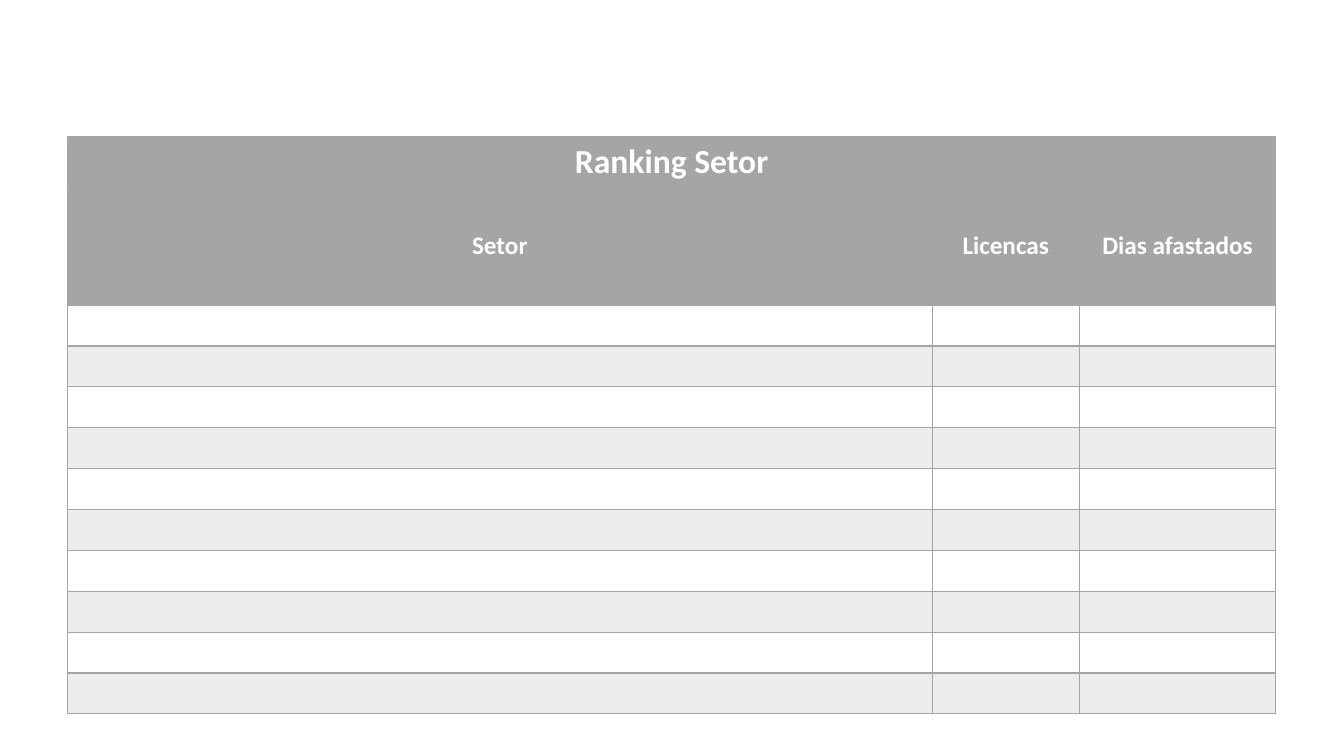
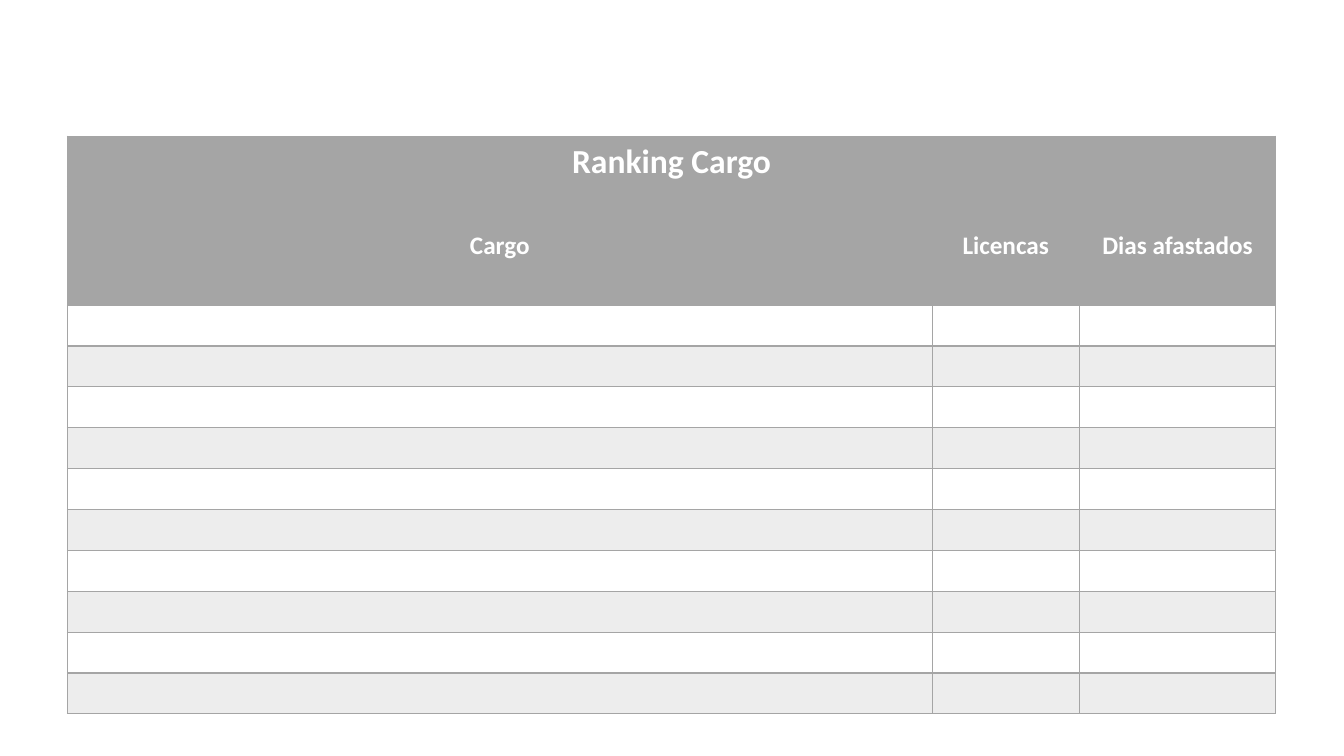
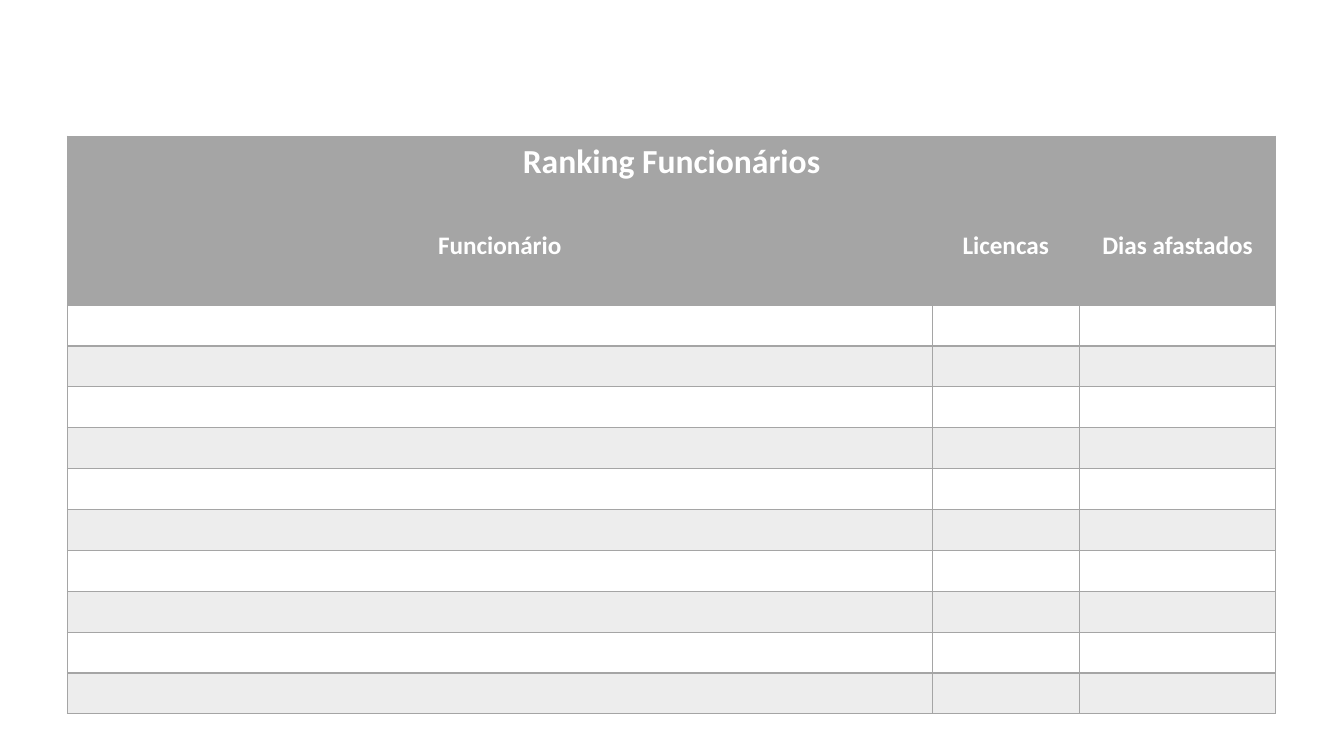
"""Builds three ranking slides, each with an empty table on a pale panel."""
import dataclasses
import typing

import lxml.etree
import pptx
import pptx.dml.color
import pptx.enum.shapes
import pptx.enum.text
import pptx.oxml.ns
import pptx.slide
import pptx.table
import pptx.util

Cm = pptx.util.Cm
Pt = pptx.util.Pt
qn = pptx.oxml.ns.qn

GRAY = "A5A5A5"
WHITE = "FFFFFF"
FONT = "Calibri"
COL_WIDTHS = (21.79, 3.71, 4.95)
BODY_ROWS = 10
ROW_HEIGHTS = (1.14, 2.97) + (0.94,) * BODY_ROWS


@dataclasses.dataclass(frozen=True)
class Ranking:
    title: str
    subject: str


RANKINGS = (
    Ranking("Ranking Setor", "Setor"),
    Ranking("Ranking Cargo", "Cargo"),
    Ranking("Ranking Funcionários", "Funcionário"),
)


def rgb(value: str) -> pptx.dml.color.RGBColor:
    return pptx.dml.color.RGBColor.from_string(value)


def set_opacity(props: typing.Any, percent: int) -> None:
    color = props.find(qn("a:solidFill")).find(qn("a:srgbClr"))
    lxml.etree.SubElement(color, qn("a:alpha"), val=str(percent * 1000))


def add_borders(cell: pptx.table._Cell, bottom: float = 1) -> None:
    tc_pr = cell._tc.get_or_add_tcPr()
    for side, width in (("L", 1), ("R", 1), ("T", 1), ("B", bottom)):
        ln = lxml.etree.SubElement(tc_pr, qn(f"a:ln{side}"), w=str(Pt(width)))
        fill = lxml.etree.SubElement(ln, qn("a:solidFill"))
        lxml.etree.SubElement(fill, qn("a:srgbClr"), val=GRAY)


def fill_header(cell: pptx.table._Cell, text: str, size: float) -> None:
    cell.fill.solid()
    cell.fill.fore_color.rgb = rgb(GRAY)
    cell.vertical_anchor = pptx.enum.text.MSO_ANCHOR.MIDDLE
    p = cell.text_frame.paragraphs[0]
    p.text = text
    p.alignment = pptx.enum.text.PP_ALIGN.CENTER
    p.font.name = FONT
    p.font.size = Pt(size)
    p.font.bold = True
    p.font.color.rgb = rgb(WHITE)


def fill_body(cell: pptx.table._Cell, tinted: bool) -> None:
    if tinted:
        cell.fill.solid()
        cell.fill.fore_color.rgb = rgb(GRAY)
        set_opacity(cell._tc.tcPr, 20)
    else:
        cell.fill.background()
    font = cell.text_frame.paragraphs[0].font
    font.name = FONT
    font.size = Pt(18)


def add_panel(s: pptx.slide.Slide) -> None:
    sp = s.shapes.add_shape(pptx.enum.shapes.MSO_SHAPE.RECTANGLE,
                            Cm(1.14), Cm(2.39), Cm(31.57), Cm(15.95))
    sp.shadow.inherit = False
    sp.fill.solid()
    sp.fill.fore_color.rgb = rgb(WHITE)
    set_opacity(sp._element.spPr, 90)
    sp.line.color.rgb = rgb(WHITE)
    sp.line.width = Pt(1)


def add_ranking(s: pptx.slide.Slide, ranking: Ranking) -> None:
    table = s.shapes.add_table(len(ROW_HEIGHTS), len(COL_WIDTHS), Cm(1.7), Cm(3.43),
                               Cm(sum(COL_WIDTHS)), Cm(sum(ROW_HEIGHTS))).table
    table.first_row = False
    table.horz_banding = False
    for column, width in zip(table.columns, COL_WIDTHS):
        column.width = Cm(width)
    for row, height in zip(table.rows, ROW_HEIGHTS):
        row.height = Cm(height)

    title = table.cell(0, 0)
    title.merge(table.cell(0, len(COL_WIDTHS) - 1))
    add_borders(title, bottom=2)
    fill_header(title, ranking.title, 24)

    headings = (ranking.subject, "Licencas", "Dias afastados")
    for c, heading in enumerate(headings):
        for r in range(1, len(ROW_HEIGHTS)):
            cell = table.cell(r, c)
            add_borders(cell)
            if r == 1:
                fill_header(cell, heading, 18)
            else:
                fill_body(cell, tinted=r % 2 == 1)


def main() -> None:
    prs = pptx.Presentation()
    prs.slide_width = Cm(33.87)
    prs.slide_height = Cm(19.05)
    for ranking in RANKINGS:
        s = prs.slides.add_slide(prs.slide_layouts[6])
        add_panel(s)
        add_ranking(s, ranking)
    prs.save("out.pptx")


main()
